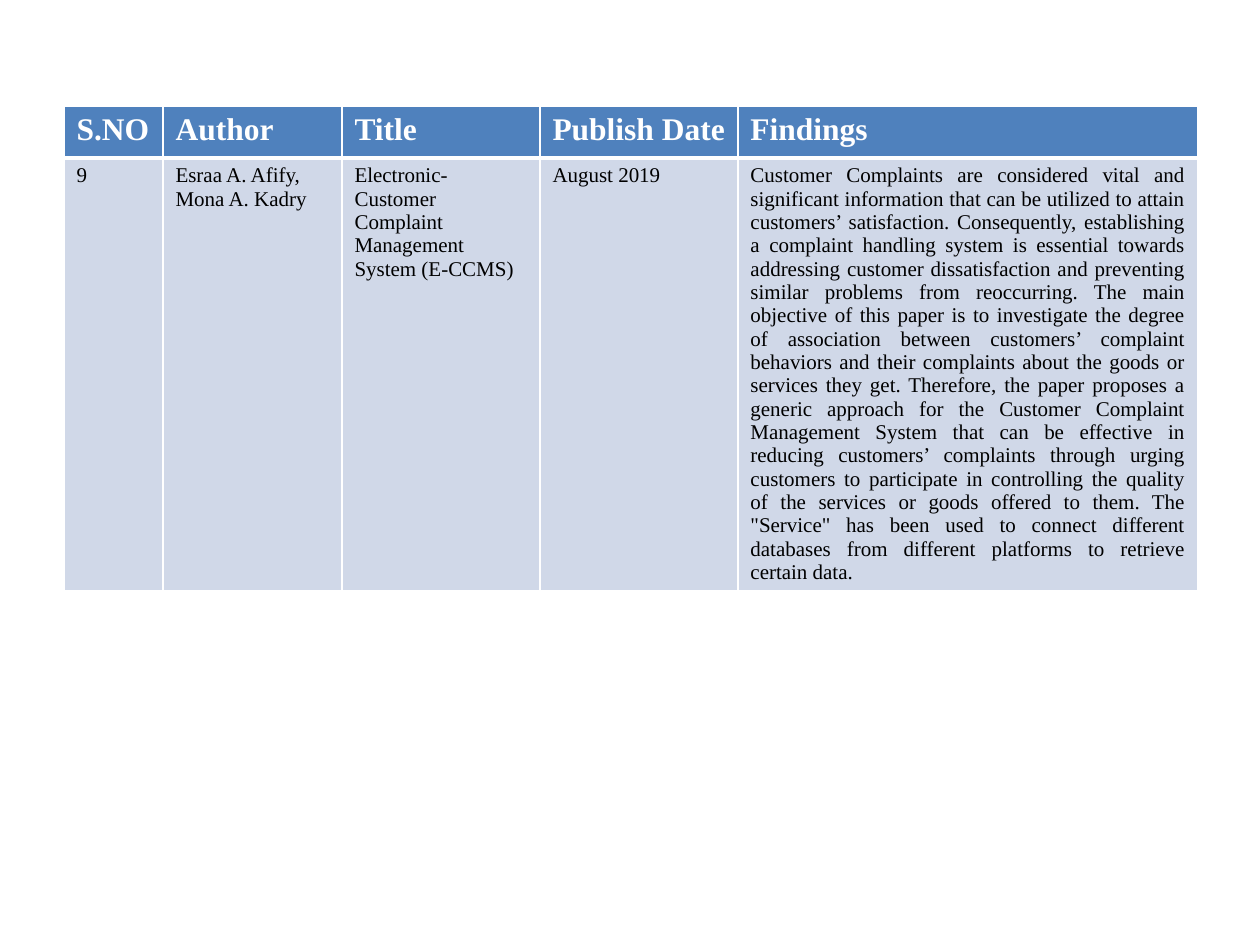
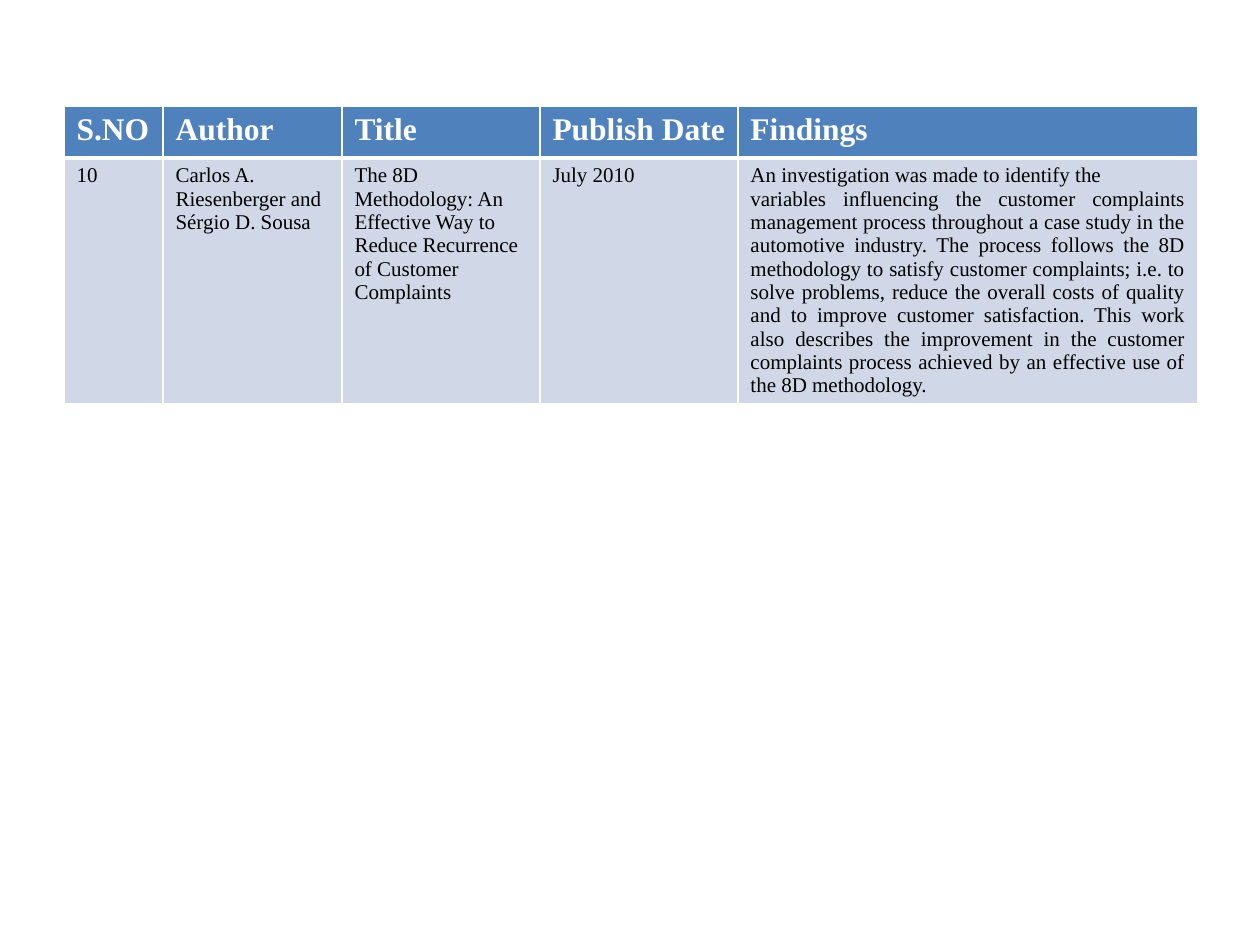
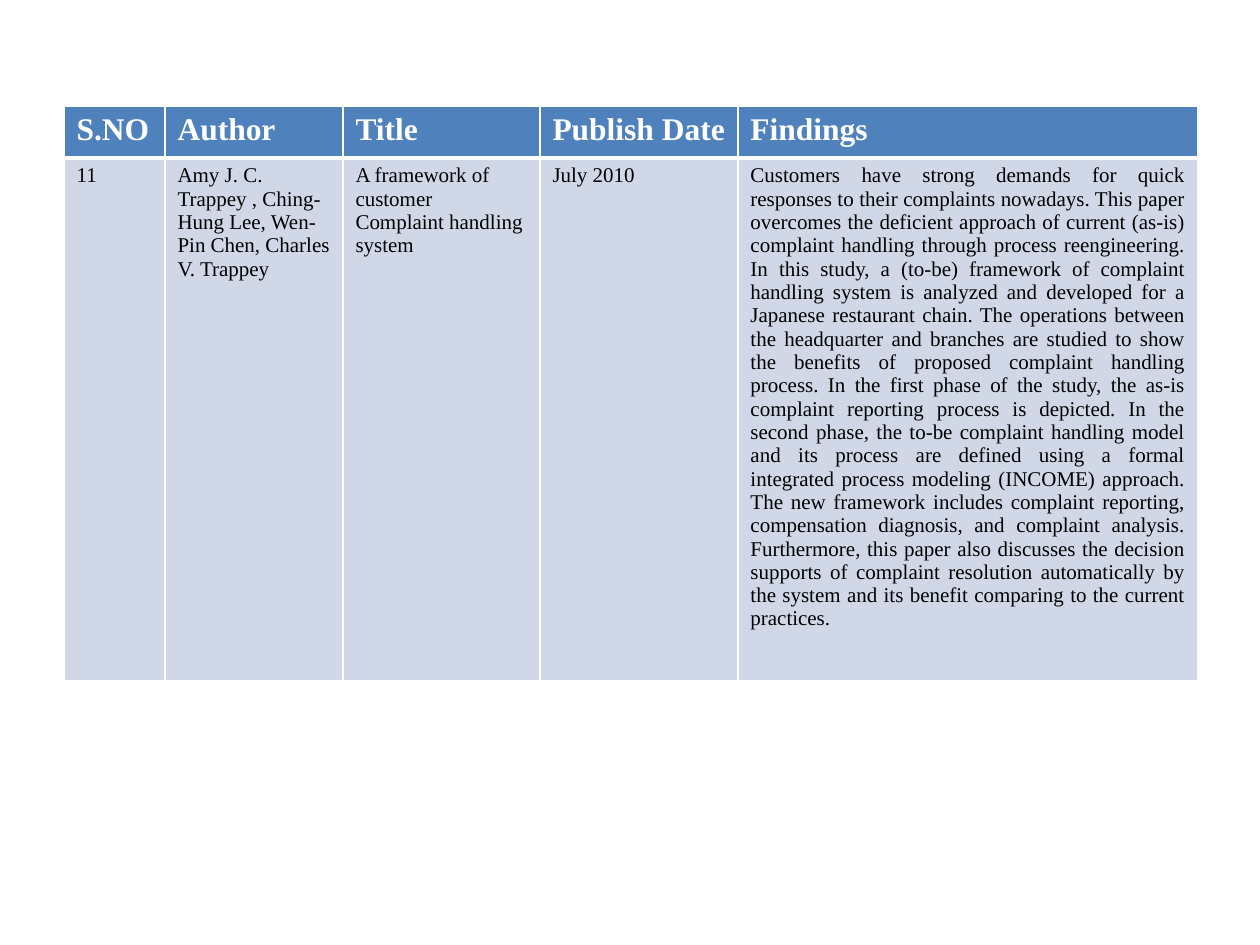
from lxml import etree
from pptx import Presentation
from pptx.dml.color import RGBColor
from pptx.enum.text import PP_ALIGN
from pptx.oxml.ns import qn
from pptx.util import Emu, Pt

PIXEL = 914400 // 126
LEFT = PP_ALIGN.LEFT
JUSTIFY = PP_ALIGN.JUSTIFY
FONT = "Times New Roman"
COLOURS = {"header": "4F81BD", "body": "D0D8E8", "white": "FFFFFF", "black": "000000"}

TABLE_LEFT, TABLE_TOP = 64, 106
ROW_HEIGHT = 52
HEADINGS = ["S.NO", "Author", "Title", "Publish Date", "Findings"]
COLUMNS = [99, 179, 198, 198, 460]
WIDE_NUMBER_COLUMNS = [101, 178, 197, 198, 460]
HEADER_BORDERS = {"lnL": 1, "lnR": 1, "lnT": 1, "lnB": 3}
BODY_BORDERS = {"lnL": 1, "lnR": 1, "lnT": 3, "lnB": 1}

PAPERS = [
    {
        "columns": COLUMNS,
        "body_height": ROW_HEIGHT,
        "frame_height": 518,
        "details": [
            "9",
            "Esraa A. Afify, Mona A. Kadry",
            "Electronic-Customer Complaint Management System (E-CCMS)",
            "August 2019",
        ],
        "findings": [
            "Customer Complaints are considered vital and significant information that can be "
            "utilized to attain customers’ satisfaction.",
            "Consequently, establishing a complaint handling system is essential towards "
            "addressing customer dissatisfaction and preventing similar problems from "
            "reoccurring.",
            "The main objective of this paper is to investigate the degree of association "
            "between customers’ complaint behaviors and their complaints about the goods or "
            "services they get.",
            "Therefore, the paper proposes a generic approach for the Customer Complaint "
            "Management System that can be effective in reducing customers’ complaints through "
            "urging customers to participate in controlling the quality of the services or "
            "goods offered to them.",
            "The \"Service\" has been used to connect different databases from different "
            "platforms to retrieve certain data.",
        ],
    },
    {
        "columns": COLUMNS,
        "body_height": ROW_HEIGHT,
        "frame_height": 316,
        "details": [
            "10",
            "Carlos A. Riesenberger and Sérgio D. Sousa",
            "The 8D Methodology: An Effective Way to\nReduce Recurrence of Customer Complaints",
            "July 2010",
        ],
        "findings": [
            "An investigation was made to identify the\n"
            "variables influencing the customer complaints management process throughout a case "
            "study in the automotive industry.",
            "The process follows the 8D methodology to satisfy customer complaints; i.e. to "
            "solve problems, reduce the overall costs of quality and to improve customer "
            "satisfaction.",
            "This work also describes the improvement in the customer complaints process "
            "achieved by an effective use of the 8D methodology.",
        ],
    },
    {
        "columns": WIDE_NUMBER_COLUMNS,
        "body_height": 523,
        "frame_height": 619,
        "details": [
            "11",
            "Amy J. C. Trappey , Ching-Hung Lee, Wen-Pin Chen, Charles V. Trappey",
            "A framework of customer  Complaint handling system",
            "July 2010",
        ],
        "findings": [
            "Customers have strong demands for quick responses to their complaints nowadays.",
            "This paper overcomes the deficient approach of current (as-is) complaint handling "
            "through process reengineering.",
            "In this study, a (to-be) framework of complaint handling system is analyzed and "
            "developed for a Japanese restaurant chain.",
            "The operations between the headquarter and branches are studied to show the "
            "benefits of proposed complaint handling process.",
            "In the first phase of the study, the as-is complaint reporting process is depicted.",
            "In the second phase, the to-be complaint handling model and its process are defined "
            "using a formal integrated process modeling (INCOME) approach.",
            "The new framework includes complaint reporting, compensation diagnosis, and "
            "complaint analysis.",
            "Furthermore, this paper also discusses the decision supports of complaint "
            "resolution automatically by the system and its benefit comparing to the current "
            "practices.",
        ],
    },
]


def pixels(count):
    return Emu(count * PIXEL)


def colour(name):
    return RGBColor.from_string(COLOURS[name])


def set_borders(cell, borders):
    properties = cell._tc.get_or_add_tcPr()
    for side, width in borders.items():
        line = etree.SubElement(properties, qn(f"a:{side}"), w=str(int(Pt(width))))
        fill = etree.SubElement(line, qn("a:solidFill"))
        etree.SubElement(fill, qn("a:srgbClr"), val=COLOURS["white"])


def fill_cell(cell, text, fill, text_colour, size, bold, borders, alignment=LEFT):
    set_borders(cell, borders)
    cell.fill.solid()
    cell.fill.fore_color.rgb = colour(fill)
    cell.text_frame.text = text
    for paragraph in cell.text_frame.paragraphs:
        paragraph.alignment = alignment
        for run in paragraph.runs:
            run.font.name = FONT
            run.font.size = Pt(size)
            run.font.bold = bold
            run.font.color.rgb = colour(text_colour)


def add_paper_table(slide, paper):
    columns = paper["columns"]
    frame = slide.shapes.add_table(
        2, len(columns), pixels(TABLE_LEFT), pixels(TABLE_TOP),
        pixels(sum(columns)), pixels(paper["frame_height"]),
    )
    table = frame.table
    table.horz_banding = False
    for column, width in zip(table.columns, columns):
        column.width = pixels(width)
    for row, height in zip(table.rows, [ROW_HEIGHT, paper["body_height"]]):
        row.height = pixels(height)
    frame.height = pixels(paper["frame_height"])

    texts = paper["details"] + [" ".join(paper["findings"])]
    for index, (heading, text) in enumerate(zip(HEADINGS, texts)):
        alignment = JUSTIFY if heading == "Findings" else LEFT
        fill_cell(table.cell(0, index), heading, "header", "white", 18, True, HEADER_BORDERS)
        fill_cell(table.cell(1, index), text, "body", "black", 12, False, BODY_BORDERS, alignment)


def main():
    presentation = Presentation()
    presentation.slide_width = pixels(1260)
    presentation.slide_height = pixels(945)
    blank_layout = presentation.slide_layouts[6]
    for paper in PAPERS:
        add_paper_table(presentation.slides.add_slide(blank_layout), paper)
    presentation.save("out.pptx")


main()
